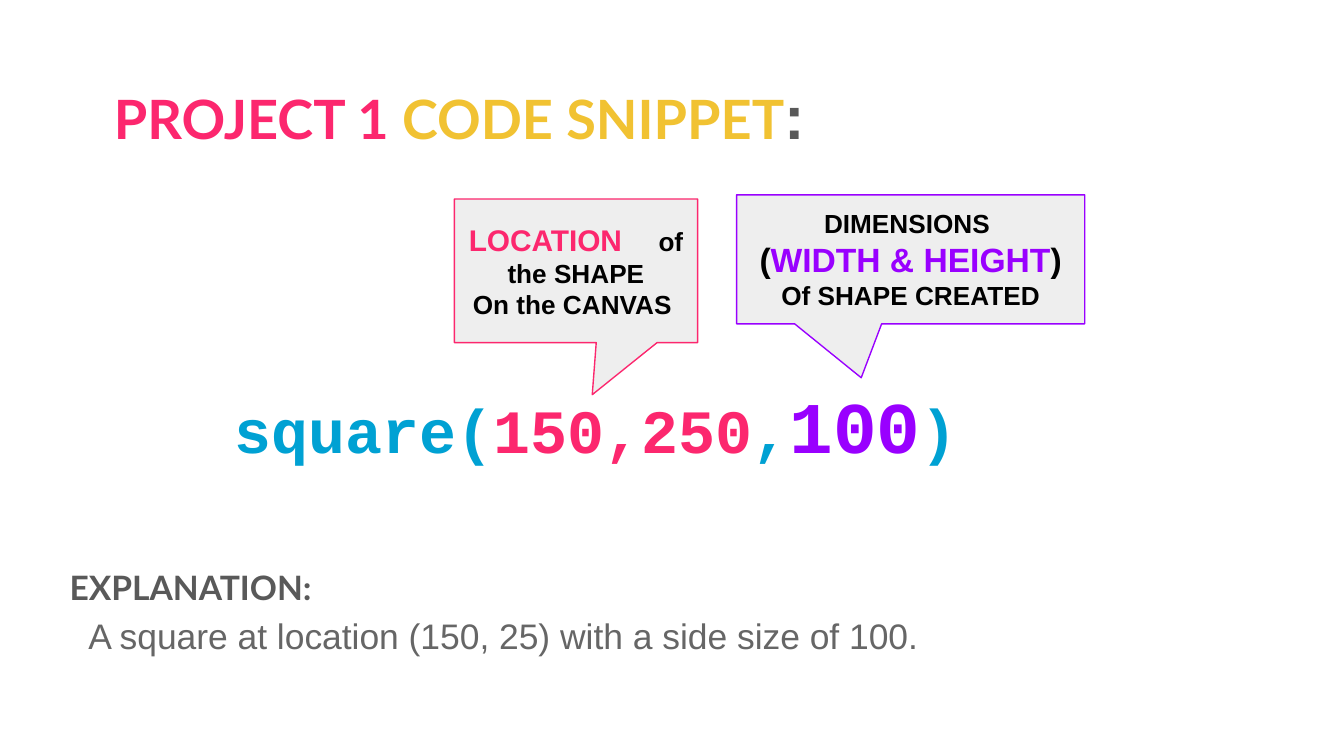
from pptx import Presentation
from pptx.dml.color import RGBColor
from pptx.enum.shapes import MSO_SHAPE as Shape
from pptx.enum.text import MSO_ANCHOR as Anchor, PP_ALIGN as Align
from pptx.util import Pt

COLORS = {
    "pink": "FC276E",
    "yellow": "F1C232",
    "blue": "00A1D3",
    "purple": "9900FF",
    "black": "000000",
    "dark_gray": "595959",
    "gray": "666666",
    "light_gray": "EEEEEE",
}


def color(name):
    return RGBColor.from_string(COLORS[name])


def add_run(paragraph, text, size=14, name="black", font="Arial", bold=True, tracking=0):
    """Add formatted text; tracking is extra letter spacing in points."""
    run = paragraph.add_run()
    run.text = text
    run.font.size = Pt(size)
    run.font.name = font
    run.font.bold = bold
    run.font.color.rgb = color(name)
    if tracking:
        run.font._element.set("spc", str(round(tracking * 100)))


def prepare_frame(shape, anchor=Anchor.TOP):
    frame = shape.text_frame
    frame.word_wrap = True
    frame.vertical_anchor = anchor
    frame.margin_left = frame.margin_right = Pt(7.2)
    frame.margin_top = frame.margin_bottom = Pt(7.2)
    return frame


def add_text_box(slide, left, top, width, height):
    box = slide.shapes.add_textbox(Pt(left), Pt(top), Pt(width), Pt(height))
    return prepare_frame(box)


def add_callout(slide, left, top, width, height, tip, line):
    """Add a square-cornered callout whose tip is relative to its centre."""
    callout = slide.shapes.add_shape(
        Shape.ROUNDED_RECTANGULAR_CALLOUT, Pt(left), Pt(top), Pt(width), Pt(height))
    for index, value in enumerate((*tip, 0)):
        callout.adjustments[index] = value
    callout.shadow.inherit = False
    callout.fill.solid()
    callout.fill.fore_color.rgb = color("light_gray")
    callout.line.color.rgb = color(line)
    callout.line.width = Pt(0.75)
    frame = prepare_frame(callout, Anchor.MIDDLE)
    first, second = frame.paragraphs[0], frame.add_paragraph()
    first.alignment = second.alignment = Align.CENTER
    return first, second


def add_code(slide):
    code = add_text_box(slide, 118.8, 196.6, 411, 58.3).paragraphs[0]
    for text, size, name in (
        ("square(", 33, "blue"),
        ("150,250", 33, "pink"),
        (",", 33, "blue"),
        ("100", 39, "purple"),
        (")", 33, "blue"),
    ):
        add_run(code, text, size=size, name=name, font="Courier New")


def add_explanation(slide):
    frame = add_text_box(slide, 30.2, 296.6, 658.8, 59)
    add_run(frame.paragraphs[0], "EXPLANATION:", size=18, name="dark_gray", font="Lato")
    body = frame.add_paragraph()
    body.line_spacing = 1.15
    body.space_after = Pt(11)
    body._p.get_or_add_pPr().set("marL", str(Pt(10)))
    add_run(body, "A square at location (150, 25) with a side size of 100.",
            size=19, name="gray", bold=False)


def add_callouts(slide):
    place, canvas = add_callout(slide, 243.4, 106.6, 130.3, 77, (0.067, 0.862), "pink")
    add_run(place, "LOCATION", size=16, name="pink")
    add_run(place, " ", tracking=15.6)
    add_run(place, "of the SHAPE")
    add_run(canvas, "On the CANVAS ")

    heading, size = add_callout(slide, 394.6, 104.4, 186.5, 69.1, (-0.142, 0.918), "purple")
    add_run(heading, "DIMENSIONS ")
    add_run(size, "(", size=18)
    add_run(size, "WIDTH & HEIGHT", size=18, name="purple")
    add_run(size, ")", size=18)
    add_run(size, " Of SHAPE CREATED")


def add_title(slide):
    title = add_text_box(slide, 54, 34.6, 453.6, 54.7).paragraphs[0]
    add_run(title, "PROJECT 1 ", size=29, name="pink", font="Lato")
    add_run(title, "CODE SNIPPET", size=29, name="yellow", font="Lato")
    add_run(title, ":", size=33, name="dark_gray")


def main():
    presentation = Presentation()
    presentation.slide_width = Pt(720)
    presentation.slide_height = Pt(405)
    slide = presentation.slides.add_slide(presentation.slide_layouts[6])
    add_code(slide)
    add_explanation(slide)
    add_callouts(slide)
    add_title(slide)
    presentation.save("out.pptx")


if __name__ == "__main__":
    main()
